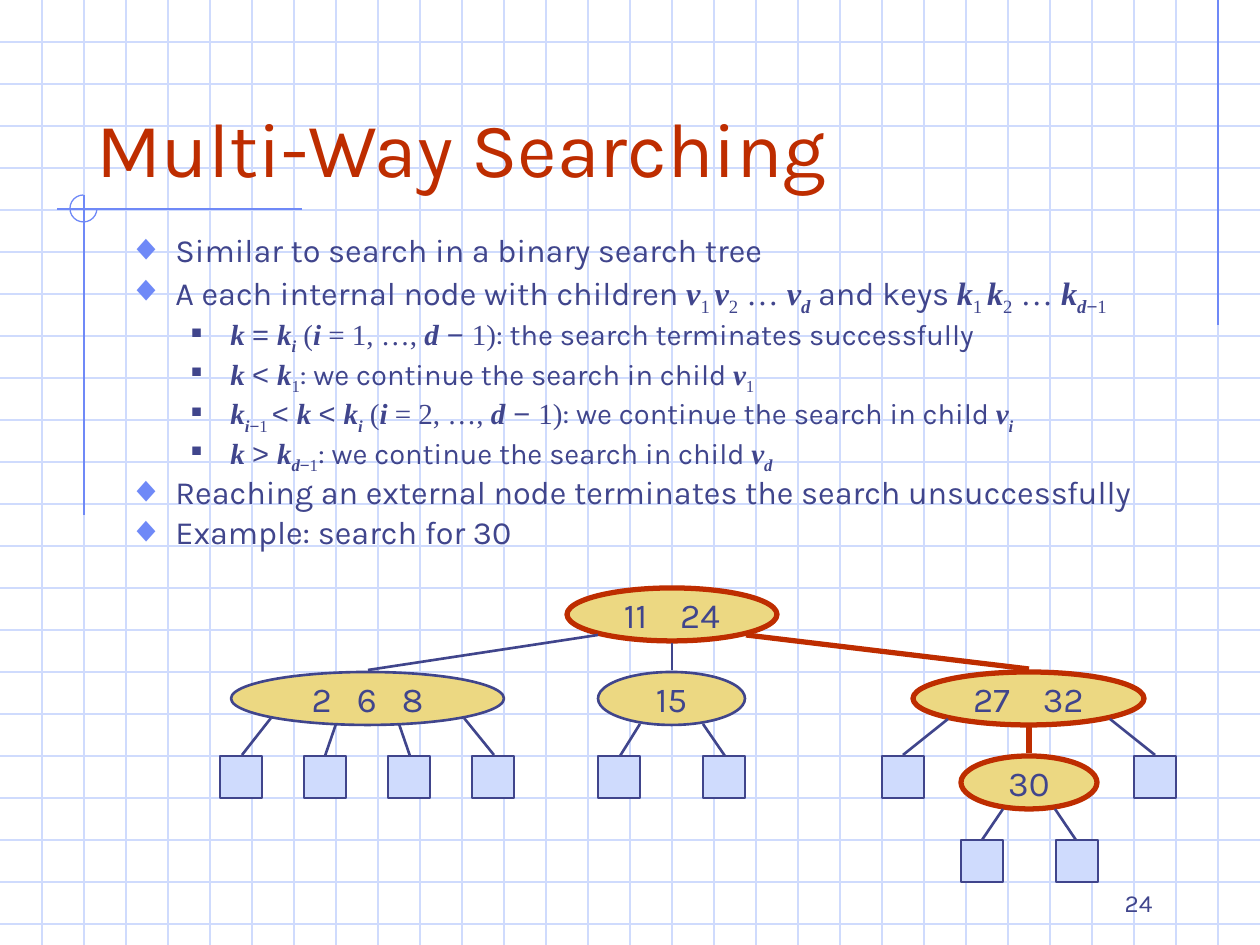
"""Build the multi-way searching slide with its search tree."""
import dataclasses
import typing

import lxml.etree
import pptx
import pptx.dml.color
import pptx.enum.shapes
import pptx.enum.text
import pptx.oxml.ns
import pptx.util

PX = 914400 / 126
WIDE, HIGH = 1260, 945
CELL = 42
NODE = 53
NAVY, RED, BLUE, PALE, GOLD = "40458C", "BE2D00", "6F89F7", "CFDBFD", "ECD882"
SANS, ROMAN, SIGN = "Karla", "Times New Roman", "Arial"
KIND = pptx.enum.shapes.MSO_SHAPE
ALIGN = pptx.enum.text.PP_ALIGN
ANCHOR = pptx.enum.text.MSO_ANCHOR


class Box(typing.NamedTuple):
    left: int
    top: int
    width: int
    height: int


class Run(typing.NamedTuple):
    text: str
    font: str = SANS
    strong: bool = False
    low: bool = False


class Level(typing.NamedTuple):
    size: float
    before: float
    left: int
    hang: int
    mark: str
    tint: str
    scale: int


class Edge(typing.NamedTuple):
    x1: int
    y1: int
    x2: int
    y2: int
    hot: bool = False


@dataclasses.dataclass
class Node:
    left: int
    top: int
    width: int
    keys: list[str]
    gap: float = 0
    hot: bool = False


MAIN = Level(18.5, 5, 47, 47, "◆", BLUE, 110)
SUB = Level(16.6, 4.5, 102, 39, "■", NAVY, 60)


def px(value: float) -> int:
    return round(value * PX)


def hue(code: str) -> pptx.dml.color.RGBColor:
    return pptx.dml.color.RGBColor.from_string(code)


def var(text: str, low: bool = False) -> Run:
    return Run(text, ROMAN, True, low)


def num(text: str, low: bool = False) -> Run:
    return Run(text, ROMAN, False, low)


def sign(text: str, low: bool = False) -> Run:
    return Run(text, SIGN, False, low)


def less(name: str) -> list[Run]:
    return [var(name), var("d", True), sign("−", True), num("1", True)]


def span(last: str) -> list[Run]:
    return [num(" ("), var("i"), num(f" = {last}, …, "), var("d"), sign(" − "), num("1)")]


def series(name: str) -> list[Run]:
    return [var(name), num("1 ", True), var(name), num("2", True), num(" … ")]


GO = Run(": we continue the search in child ")
LINES = [
    (MAIN, [Run("Similar to search in a binary search tree")]),
    (MAIN, [Run("A each internal node with children "), *series("v"), var("v"), var("d", True),
            Run(" and keys "), *series("k"), *less("k")]),
    (SUB, [var("k "), sign("= "), var("k"), var("i", True), *span("1"),
           Run(": the search terminates successfully")]),
    (SUB, [var("k "), sign("< "), var("k"), num("1", True), GO, var("v"), num("1", True)]),
    (SUB, [var("k"), var("i", True), sign("−", True), num("1 ", True), sign("< "), var("k "),
           sign("< "), var("k"), var("i", True), *span("2"), GO, var("v"), var("i", True)]),
    (SUB, [var("k "), sign("> "), *less("k"), GO, var("v"), var("d", True)]),
    (MAIN, [Run("Reaching an external node terminates the search unsuccessfully")]),
    (MAIN, [Run("Example: search for 30")]),
]
NODES = [
    Node(567, 588, 210, ["11", "24"], 14, True),
    Node(231, 672, 273, ["2", "6", "8"], 9.4),
    Node(598, 672, 147, ["15"]),
    Node(961, 756, 136, ["30"], hot=True),
    Node(913, 672, 231, ["27", "32"], 14, True),
]
LEAVES = {756: [882, 1134, 598, 703, *range(220, 473, 84)], 840: [961, 1056]}
EDGES = [
    Edge(598, 635, 368, 670), Edge(672, 643, 672, 670), Edge(746, 635, 1029, 669, True),
    Edge(271, 718, 242, 755), Edge(464, 718, 494, 755), Edge(325, 756, 336, 724),
    Edge(410, 756, 399, 724), Edge(1029, 753, 1029, 727, True), Edge(903, 755, 948, 719),
    Edge(1155, 755, 1110, 719), Edge(725, 756, 703, 724), Edge(620, 756, 640, 724),
    Edge(982, 840, 1003, 809), Edge(1076, 840, 1055, 809),
]


def style(part, size: float, tint: str, name: str | None = SANS) -> None:
    part.font.size = pptx.util.Pt(size)
    part.font.color.rgb = hue(tint)
    if name:
        part.font.name = name


def line(slide, edge: Edge, tint: str, width: float = 0.75) -> None:
    link = slide.shapes.add_connector(
        pptx.enum.shapes.MSO_CONNECTOR.STRAIGHT, *map(px, edge[:4]))
    link.line.color.rgb = hue(tint)
    link.line.width = pptx.util.Pt(width)
    lxml.etree.SubElement(link._element.spPr, pptx.oxml.ns.qn("a:effectLst"))


def shape(slide, kind, box: Box, fill: str | None, tint: str, width: float):
    item = slide.shapes.add_shape(kind, *map(px, box))
    item.shadow.inherit = False
    if fill:
        item.fill.solid()
        item.fill.fore_color.rgb = hue(fill)
    else:
        item.fill.background()
    item.line.color.rgb = hue(tint)
    item.line.width = pptx.util.Pt(width)
    return item


def text(slide, box: Box, anchor):
    frame = slide.shapes.add_textbox(*map(px, box)).text_frame
    frame.word_wrap = True
    frame.vertical_anchor = anchor
    return frame


def label(slide, box: Box, words: str, size: float, tint: str, align) -> None:
    para = text(slide, box, ANCHOR.BOTTOM).paragraphs[0]
    para.text = words
    para.alignment = align
    style(para, size, tint)


def bullet(para, level: Level) -> None:
    props = para._p.get_or_add_pPr()
    props.set("marL", str(px(level.left)))
    props.set("indent", str(-px(level.hang)))
    tint = lxml.etree.SubElement(props, pptx.oxml.ns.qn("a:buClr"))
    lxml.etree.SubElement(tint, pptx.oxml.ns.qn("a:srgbClr"), val=level.tint)
    lxml.etree.SubElement(props, pptx.oxml.ns.qn("a:buSzPct"), val=str(level.scale * 1000))
    lxml.etree.SubElement(props, pptx.oxml.ns.qn("a:buFont"), typeface=SIGN)
    lxml.etree.SubElement(props, pptx.oxml.ns.qn("a:buChar"), char=level.mark)


def body(slide, box: Box) -> None:
    frame = text(slide, box, ANCHOR.TOP)
    for place, (level, runs) in enumerate(LINES):
        para = frame.add_paragraph() if place else frame.paragraphs[0]
        para.level = int(level is SUB)
        para.line_spacing = 0.8
        para.space_before = pptx.util.Pt(level.before if place else 0)
        bullet(para, level)
        style(para, level.size, NAVY, SANS if len(runs) == 1 else None)
        for run in runs:
            piece = para.add_run()
            piece.text = run.text
            if len(runs) > 1:
                piece.font.name = run.font
            if run.strong:
                piece.font.bold = piece.font.italic = True
            if run.low:
                piece.font._element.set("baseline", "-25000")


def draw(slide, node: Node) -> None:
    item = shape(slide, KIND.OVAL, Box(node.left, node.top, node.width, NODE), GOLD,
                 RED if node.hot else NAVY, 3 if node.hot else 1.5)
    frame = item.text_frame
    frame.word_wrap = False
    frame.vertical_anchor = ANCHOR.MIDDLE
    para = frame.paragraphs[0]
    para.alignment = ALIGN.CENTER
    style(para, 20, NAVY)
    for place, key in enumerate(node.keys):
        if place:
            space = para.add_run()
            space.text = " "
            space.font._element.set("spc", str(round(node.gap * 100)))
        para.add_run().text = key


def main() -> None:
    deck = pptx.Presentation()
    deck.slide_width, deck.slide_height = px(WIDE), px(HIGH)
    slide = deck.slides.add_slide(deck.slide_layouts[6])
    for y in range(CELL, HIGH, CELL):
        line(slide, Edge(0, y, WIDE, y), PALE)
    for x in range(CELL, WIDE, CELL):
        line(slide, Edge(x, 0, x, HIGH), PALE)
    for edge in (Edge(1218, 0, 1218, 325), Edge(302, 209, 57, 209), Edge(84, 195, 84, 515)):
        line(slide, edge, BLUE)
    arc = shape(slide, KIND.ARC, Box(70, 195, 27, 27), None, BLUE, 0.75)
    arc.adjustments[0], arc.adjustments[1] = 0, 162
    label(slide, Box(84, 42, 1071, 157), "Multi-Way Searching", 44, RED, ALIGN.LEFT)
    body(slide, Box(116, 231, 1092, 368))
    for node in NODES:
        draw(slide, node)
    for top, row in LEAVES.items():
        for left in row:
            shape(slide, KIND.RECTANGLE, Box(left, top, CELL, CELL), PALE, NAVY, 1.5)
    for edge in EDGES:
        line(slide, edge, RED if edge.hot else NAVY, 3 if edge.hot else 1.5)
    label(slide, Box(903, 861, 262, 63), "24", 14, NAVY, ALIGN.RIGHT)
    deck.save("out.pptx")


if __name__ == "__main__":
    main()
